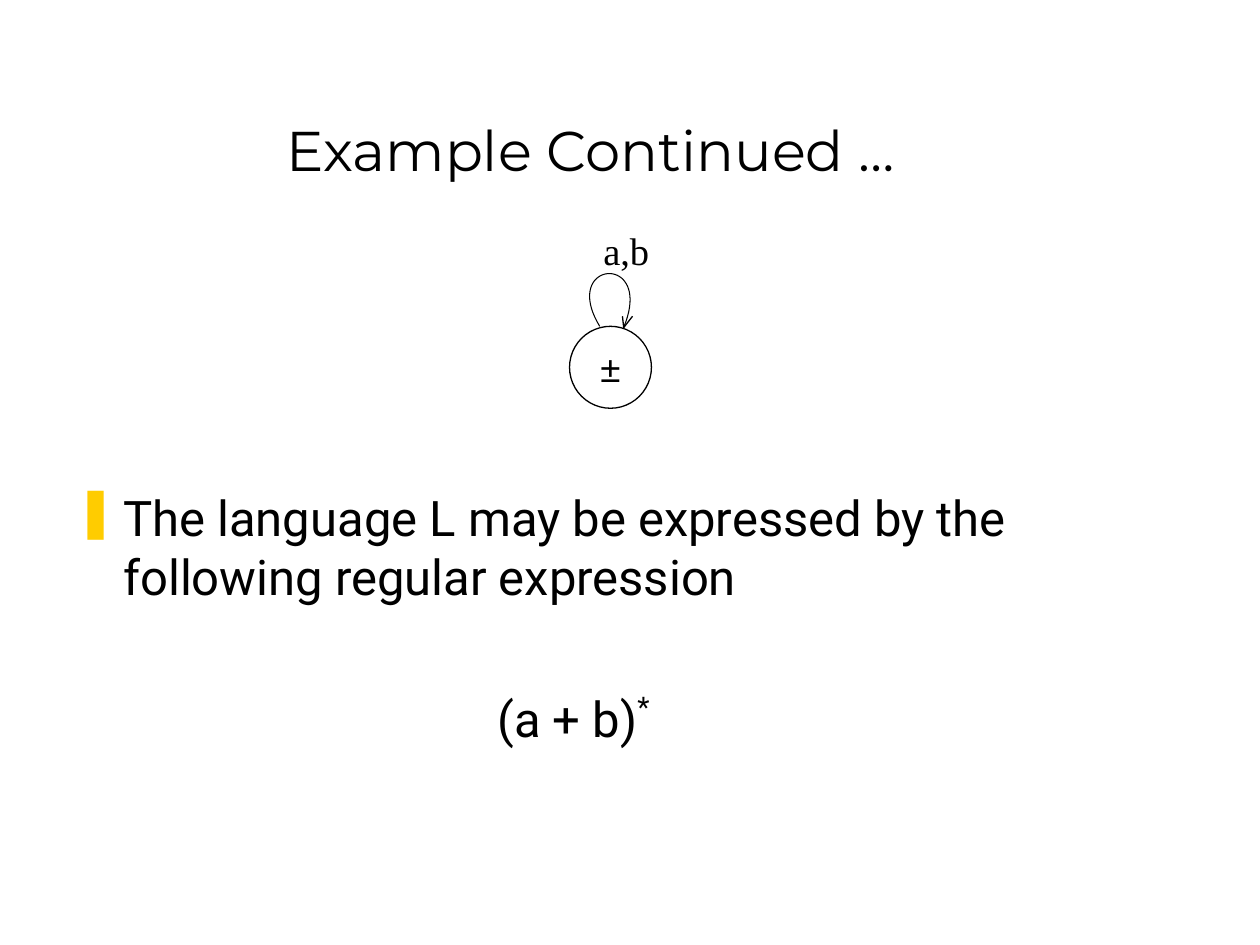
from lxml.etree import SubElement
from pptx import Presentation
from pptx.dml.color import RGBColor
from pptx.enum.shapes import MSO_SHAPE as SHAPE
from pptx.enum.text import MSO_ANCHOR as ANCHOR, PP_ALIGN as ALIGN
from pptx.oxml.ns import qn
from pptx.util import Inches, Pt

rgb = RGBColor.from_string
prs = Presentation()
prs.slide_width, prs.slide_height = Inches(10), Inches(7.5)
CELL = prs.slide_width / 100  # grid of 100 columns by 75 rows


def grid(*cells):
    """Turn columns and rows into EMU."""
    return [round(c * CELL) for c in cells]


def write(p, text, font="Roboto", size=28, color="000000", align=ALIGN.LEFT):
    p.alignment = align
    r = p.add_run()
    r.text = text
    r.font.name, r.font.size = font, Pt(size)
    r.font.color.rgb = rgb(color)
    return r


s = prs.slides.add_slide(prs.slide_layouts[5])
s.background.fill.solid()
s.background.fill.fore_color.rgb = rgb("FFFFFF")

# Title
title = s.shapes.title
title.left, title.top, title.width, title.height = grid(4.4, 2.5, 85, 12.5)
title.text_frame.vertical_anchor = ANCHOR.BOTTOM
write(title.text_frame.paragraphs[0], "Example Continued …",
      font="Montserrat", size=32, align=ALIGN.CENTER)

# Statement and regular expression
tf = s.shapes.add_textbox(*grid(5, 38.2, 89.4, 28)).text_frame
tf.word_wrap = True
p = tf.paragraphs[0]
write(p, "The language L may be expressed by the following regular expression")
pPr = p._p.get_or_add_pPr()
indent, = grid(3.8)
pPr.set("marL", str(indent))
pPr.set("indent", str(-indent))
SubElement(SubElement(pPr, qn("a:buClr")), qn("a:srgbClr")).set("val", "FFCC00")
SubElement(pPr, qn("a:buChar")).set("char", "❚")

p = tf.add_paragraph()
p.space_before = Pt(47.5)
p._p.get_or_add_pPr().set("marL", str(grid(33.5)[0]))
write(p, "(a + b)")
write(p, "*").font._element.set("baseline", "40000")

# State that is both start and final
state = s.shapes.add_shape(SHAPE.OVAL, *grid(45.2, 25.9, 6.5, 6.5))
state.shadow.inherit = False
state.fill.solid()
state.fill.fore_color.rgb = rgb("FFFFFF")
state.line.color.rgb = rgb("000000")
state.line.width = Pt(0.75)
tf = state.text_frame
tf.margin_left = tf.margin_right = tf.margin_top = tf.margin_bottom = 0
tf.vertical_anchor = ANCHOR.MIDDLE
write(tf.paragraphs[0], "±", font="Arial", size=21, align=ALIGN.CENTER)

# Transition label
tf = s.shapes.add_textbox(*grid(46.9, 17.5, 8.4, 5.6)).text_frame
tf.word_wrap = True
write(tf.paragraphs[0], "a,b", font="Times New Roman", size=22)

# Transition loop, a cubic curve, and its arrowhead
controls = [(47.6, 25.9), (44.4, 20.6), (52, 20), (49.5, 26)]
STEPS = 40
loop = []
for i in range(STEPS + 1):
    t = i / STEPS
    weights = (1 - t) ** 3, 3 * t * (1 - t) ** 2, 3 * t ** 2 * (1 - t), t ** 3
    loop.append([sum(w * c for w, c in zip(weights, axis))
                 for axis in zip(*controls)])
arrowhead = [(49.4, 25.1), controls[-1], (50.2, 25.1)]

for points, width in ((loop, 0.6), (arrowhead, 0.75)):
    start, *rest = [grid(*point) for point in points]
    fb = s.shapes.build_freeform(*start)
    fb.add_line_segments(rest, close=False)
    sp = fb.convert_to_shape()
    sp.shadow.inherit = False
    sp.fill.background()
    sp.line.color.rgb = rgb("000000")
    sp.line.width = Pt(width)

prs.save("out.pptx")
